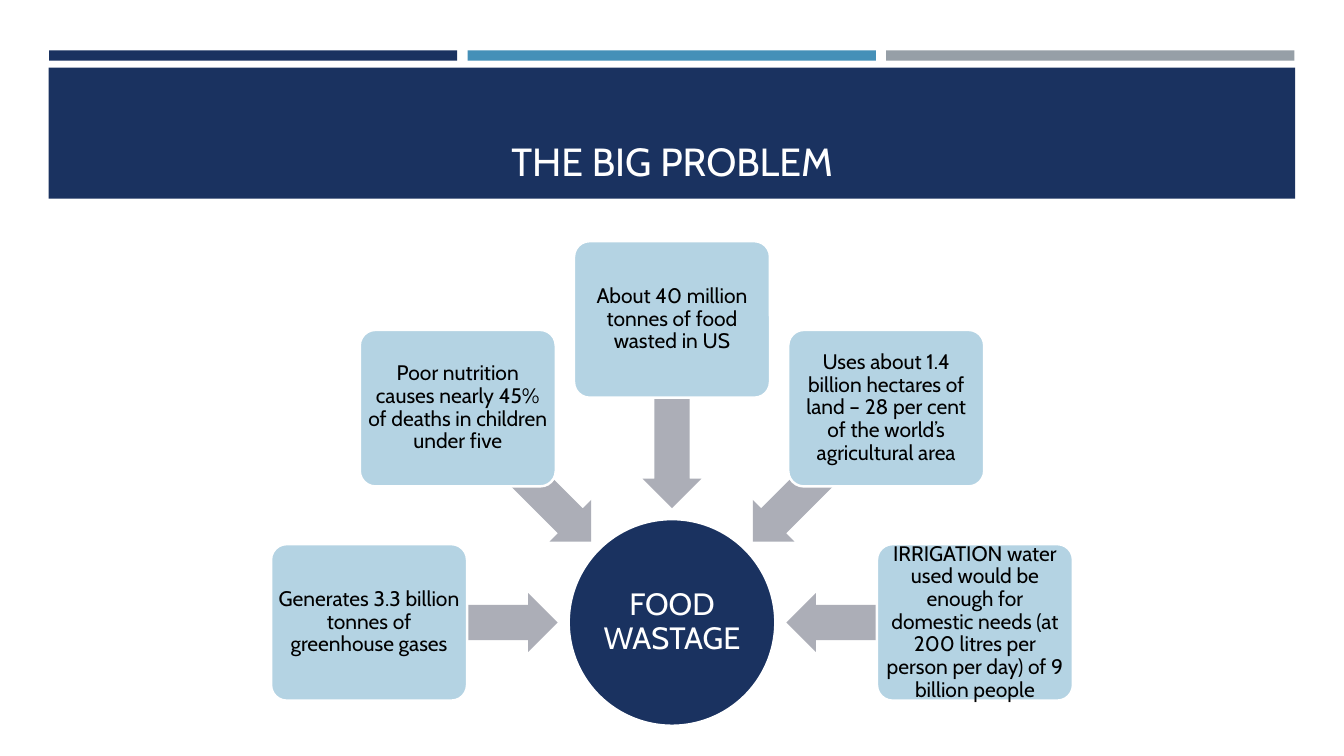
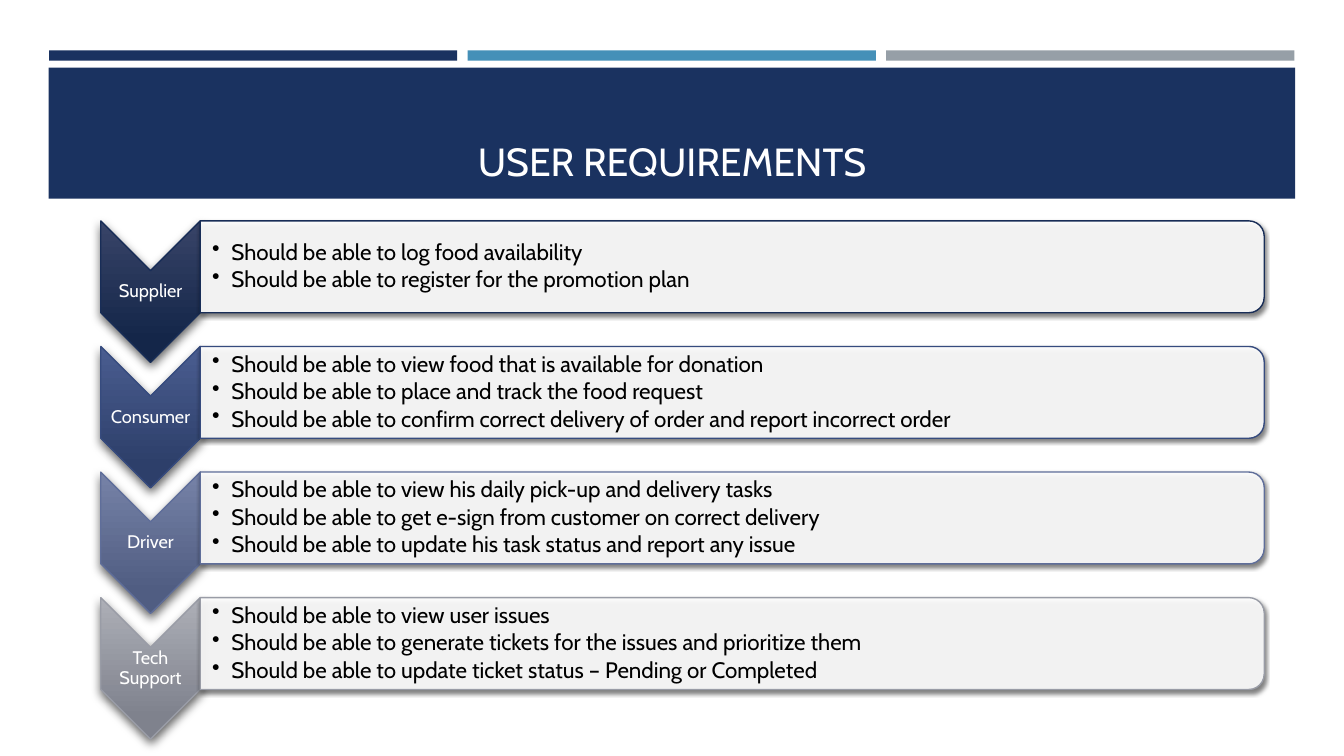
from math import cos, radians, sin

from lxml import etree
from pptx import Presentation
from pptx.dml.color import RGBColor
from pptx.enum import shapes, text
from pptx.oxml.ns import qn
from pptx.util import Pt

FONT = "Cabin"
WIDTH, HEIGHT = 960, 540
COLORS = {
    "navy": "1A3260", "blue": "4590B8", "gray": "969FA7", "sky": "B4D3E3",
    "arrow": "ACAEB7", "white": "FFFFFF", "black": "000000",
}
PRESET = shapes.MSO_SHAPE
CENTER, LEFT = text.PP_ALIGN.CENTER, text.PP_ALIGN.LEFT
MIDDLE, BOTTOM = text.MSO_ANCHOR.MIDDLE, text.MSO_ANCHOR.BOTTOM

PROBLEMS = [
    (180, "Generates 3.3 billion tonnes of greenhouse gases"),
    (135, "Poor nutrition causes nearly 45% of deaths in children under five"),
    (90, "About 40 million tonnes of food wasted in US"),
    (45, "Uses about 1.4 billion hectares of land – 28 per cent of the world’s agricultural area"),
    (0, "IRRIGATION water used would be enough for domestic needs "
        "(at 200 litres per person per day) of 9 billion people"),
]
REQUIREMENTS = [
    ("Supplier", ("384468", "142649", "182D57"), [
        "Should be able to log food availability",
        "Should be able to register for the promotion plan"]),
    ("Consumer", ("4A5D90", "2D3F6A", "364B7E"), [
        "Should be able to view food that is available for donation",
        "Should be able to place and track the food request",
        "Should be able to confirm correct delivery of order and report incorrect order"]),
    ("Driver", ("7682A7", "505D82", "5F6E9A"), [
        "Should be able to view his daily pick-up and delivery tasks",
        "Should be able to get e-sign from customer on correct delivery",
        "Should be able to update his task status and report any issue"]),
    ("Tech Support", ("ADAFB7", "7F828D", "999CA6"), [
        "Should be able to view user issues",
        "Should be able to generate tickets for the issues and prioritize them",
        "Should be able to update ticket status – Pending or Completed"]),
]


def rgb(value):
    """Turn a colour name or a hex string into a colour."""
    return RGBColor.from_string(COLORS.get(value, value))


def add_preset(slide, preset, box, fill, line=None, weight=1.75):
    """Add a flat preset shape in box (left, top, width, height)."""
    shape = slide.shapes.add_shape(preset, *map(Pt, box))
    shape.shadow.inherit = False
    shape.fill.solid()
    shape.fill.fore_color.rgb = rgb(fill)
    if line:
        shape.line.color.rgb = rgb(line)
        shape.line.width = Pt(weight)
    else:
        shape.line.fill.background()
    return shape


def add_turned(slide, preset, box, fill, line):
    """Add a shape turned by a quarter so that it covers box on the slide."""
    left, top, width, height = box
    shift = (width - height) / 2
    shape = add_preset(slide, preset, (left + shift, top - shift, height, width), fill, line, 1)
    shape.rotation = 90
    return shape


def add_shadow(shape, alpha, blur, distance, direction):
    """Give a shape a soft black outer shadow."""
    effects = shape.element.spPr.find(qn("a:effectLst"))
    shadow = etree.SubElement(
        effects, qn("a:outerShdw"), blurRad=str(Pt(blur)), dist=str(Pt(distance)),
        dir=str(direction * 60000), algn="ctr", rotWithShape="0")
    color = etree.SubElement(shadow, qn("a:srgbClr"), val=COLORS["black"])
    etree.SubElement(color, qn("a:alpha"), val=str(alpha * 1000))


def write(shape, lines, size, color, align=CENTER, anchor=MIDDLE, inset=(1, 1, 1, 1), spacing=0.9):
    """Fill a shape with styled paragraphs and return them."""
    frame = shape.text_frame
    frame.word_wrap = True
    frame.vertical_anchor = anchor
    frame.margin_left, frame.margin_top, frame.margin_right, frame.margin_bottom = map(Pt, inset)
    frame.text = "\n".join(lines)
    for paragraph in frame.paragraphs:
        paragraph.alignment = align
        paragraph.line_spacing = spacing
        paragraph.font.name = FONT
        paragraph.font.size = Pt(size)
        paragraph.font.color.rgb = rgb(color)
    return frame.paragraphs


def add_text(slide, box, lines, size, color, **style):
    """Add a text box and return its paragraphs."""
    return write(slide.shapes.add_textbox(*map(Pt, box)), lines, size, color, **style)


def add_titled_slide(deck, title):
    """Add a slide with the three strips and the title band."""
    slide = deck.slides.add_slide(deck.slide_layouts[6])
    for index, color in enumerate(("navy", "blue", "gray")):
        add_preset(slide, PRESET.RECTANGLE, (35 + index * 299, 36, 291.6, 7.4), color)
    add_preset(slide, PRESET.RECTANGLE, (34.8, 48.4, 890.4, 93.6), "navy")
    add_text(slide, (46, 55.4, 868, 80), [title], 28, "white",
             anchor=BOTTOM, inset=(7.2, 3.6, 7.2, 3.6), spacing=1.0)
    return slide


def add_radial(slide, box, hub_text, spokes):
    """Draw cards on a half circle, with arrows to a hub at the bottom of box."""
    left, top, width, height = box
    hub_size = 147.6
    hub_x, hub_y = left + width / 2, top + height - hub_size / 2

    def polar_box(angle, radius, item_width, item_height):
        """Return the box of an item centred at an angle and radius from the hub."""
        x = hub_x + radius * cos(radians(angle))
        y = hub_y - radius * sin(radians(angle))
        return x - item_width / 2, y - item_height / 2, item_width, item_height

    hub = add_preset(slide, PRESET.OVAL, polar_box(0, 0, hub_size, hub_size), "navy", "white")
    write(hub, [hub_text], 22, "white")
    for angle, message in spokes:
        arrow = add_preset(slide, PRESET.LEFT_ARROW, polar_box(angle, 149, 134.6, 42), "arrow")
        arrow.adjustments[0] = 0.6
        arrow.rotation = (360 - angle) % 360
        card = add_preset(slide, PRESET.ROUNDED_RECTANGLE,
                          polar_box(angle, 216.4, 140, 111.8), "sky", "white")
        card.adjustments[0] = 0.1
        write(card, [message], 15, "black", inset=(2.2,) * 4)


def add_bullets(paragraphs, indent, gap):
    """Give paragraphs a bullet, a hanging indent and a gap below."""
    for paragraph in paragraphs:
        paragraph.space_after = Pt(gap)
        properties = paragraph._p.get_or_add_pPr()
        properties.set("marL", str(Pt(indent)))
        properties.set("indent", str(-Pt(indent)))
        bullet = etree.Element(qn("a:buChar"), char="•")
        properties.find(qn("a:spcAft")).addnext(bullet)


def add_role(slide, box, role, shades, needs):
    """Draw one role: a downward chevron and a panel of its needs."""
    left, top, width, height = box
    chevron_width, panel_height = 71, 65.6
    light, dark, edge = shades

    chevron = add_turned(slide, PRESET.CHEVRON, (left, top, chevron_width, height), light, edge)
    chevron.fill.gradient()
    chevron.fill.gradient_angle = 270
    for stop, color, position in zip(chevron.fill.gradient_stops, (light, dark), (0, 0.84)):
        stop.color.rgb = rgb(color)
        stop.position = position
    chevron.element.spPr.find(qn("a:gradFill")).set("rotWithShape", "0")
    add_shadow(chevron, 60, 7, 3, 84)
    label_box = (left, top + chevron_width / 2, chevron_width, height - chevron_width)
    add_text(slide, label_box, [role], 13, "white")

    panel_box = (left + chevron_width, top, width - chevron_width, panel_height)
    panel = add_turned(slide, PRESET.ROUND_2_SAME_RECTANGLE, panel_box, "white", edge)
    panel_color = panel.element.spPr.find(qn("a:solidFill")).find(qn("a:srgbClr"))
    etree.SubElement(panel_color, qn("a:alpha"), val="90000")
    add_shadow(panel, 55, 3, 2, 90)
    add_bullets(add_text(slide, panel_box, needs, 16, "black", align=LEFT,
                         inset=(8.6, 1, 1, 1)), 13.7, 2.4)


def main():
    """Build and save the deck."""
    deck = Presentation()
    deck.slide_width, deck.slide_height = Pt(WIDTH), Pt(HEIGHT)

    problem = add_titled_slide(deck, "THE BIG PROBLEM")
    add_radial(problem, (194, 172, 572, 346.4), "FOOD WASTAGE", PROBLEMS)

    requirements = add_titled_slide(deck, "USER REQUIREMENTS")
    for index, (role, shades, needs) in enumerate(REQUIREMENTS):
        add_role(requirements, (72, 157.8 + index * 89.7, 831, 101), role, shades, needs)

    deck.save("out.pptx")


if __name__ == "__main__":
    main()
